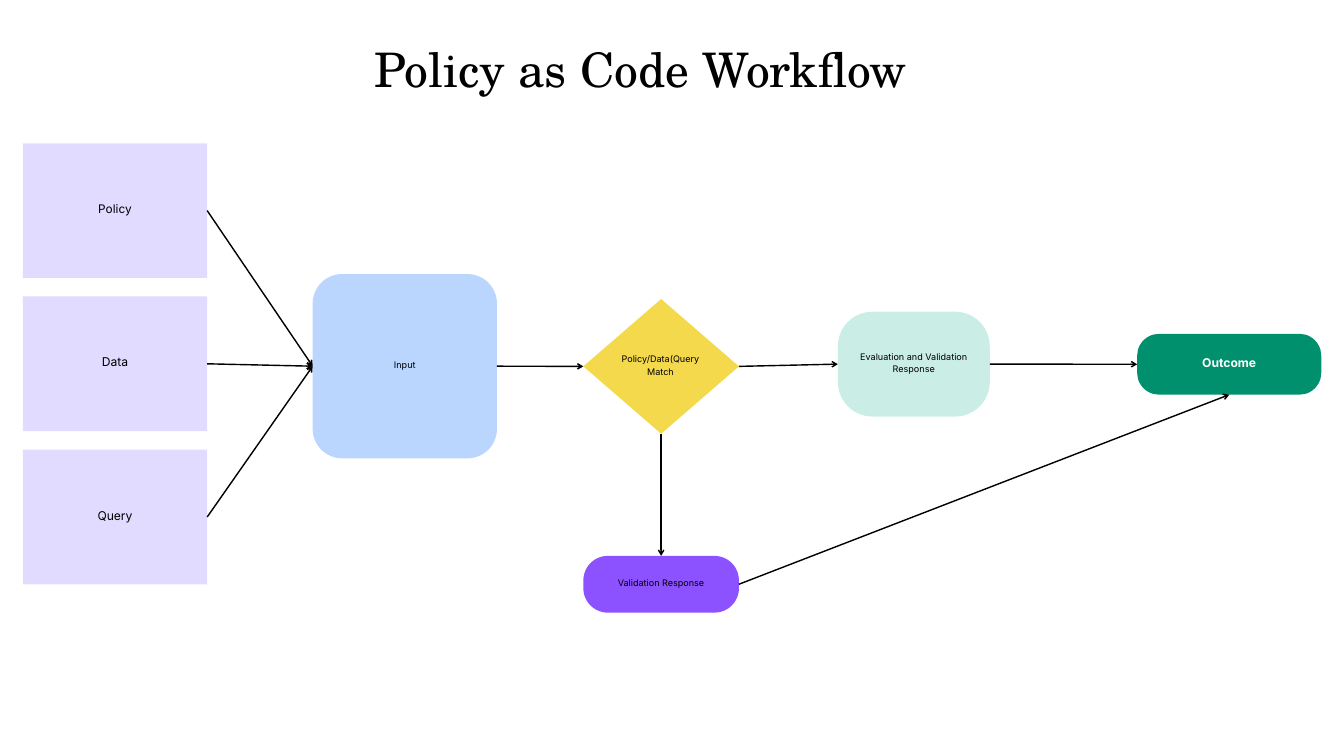
from lxml import etree
from pptx import Presentation
from pptx.dml.color import RGBColor
from pptx.enum.shapes import MSO_CONNECTOR, MSO_SHAPE
from pptx.enum.text import MSO_ANCHOR, PP_ALIGN
from pptx.oxml.ns import qn
from pptx.util import Pt

RECT, ROUNDED, DIAMOND = MSO_SHAPE.RECTANGLE, MSO_SHAPE.ROUNDED_RECTANGLE, MSO_SHAPE.DIAMOND
STRAIGHT = MSO_CONNECTOR.STRAIGHT
CENTER = PP_ALIGN.CENTER
MIDDLE, TOP_ANCHOR = MSO_ANCHOR.MIDDLE, MSO_ANCHOR.TOP
TOP, LEFT, BOTTOM, RIGHT = range(4)

COLORS = {
    "ink": "000001", "black": "000000", "white": "FFFFFF",
    "lavender": "E1DCFF", "blue": "BAD6FF", "yellow": "F4D94C",
    "mint": "CAEDE5", "green": "00906D", "purple": "8C52FF",
}


def rgb(name):
    return RGBColor.from_string(COLORS[name])


def write(frame, text, size, leading, color="ink", font="Inter", bold=False,
          anchor=MIDDLE, inset=1.5, lift=0):
    frame.word_wrap = True
    frame.vertical_anchor = anchor
    frame.margin_left = frame.margin_right = frame.margin_top = Pt(inset)
    frame.margin_bottom = Pt(inset + lift)
    paragraph = frame.paragraphs[0]
    paragraph.text = text
    paragraph.alignment = CENTER
    paragraph.line_spacing = Pt(leading)
    paragraph.font.name = font
    paragraph.font.size = Pt(size)
    paragraph.font.bold = bold
    paragraph.font.color.rgb = rgb(color)


prs = Presentation()
prs.slide_width, prs.slide_height = Pt(1440), Pt(810)
slide = prs.slides.add_slide(prs.slide_layouts[6])
shapes = slide.shapes

title = shapes.add_textbox(Pt(354), Pt(33), Pt(664.5), Pt(68.5))
write(title.text_frame, "Policy as Code Workflow", 51, 71.4, "black",
      "TeX Gyre Schola", anchor=TOP_ANCHOR, inset=0)

SOURCE_TOP, SOURCE_PITCH = 153.5, 164.15
steps = [
    (name, RECT, (24.5, SOURCE_TOP + row * SOURCE_PITCH, 197.5, 144.3),
     None, "lavender", size, "ink")
    for row, (name, size) in enumerate([("Policy", 12.7), ("Data", 13), ("Query", 13)])
]
steps += [
    ("Input", ROUNDED, (335, 293.6, 197.5, 197.5), 0.16, "blue", 9.7, "ink"),
    ("Policy/Data(Query Match", DIAMOND, (625, 320.4, 166.7, 144.3), None, "yellow", 9.7, "ink"),
    ("Evaluation and Validation Response", ROUNDED, (897.7, 334, 162.8, 112.3),
     0.33, "mint", 9.7, "ink"),
    ("Outcome", ROUNDED, (1218.4, 357.7, 197.3, 65.2), 0.36, "green", 13, "white"),
    ("Validation Response", ROUNDED, (625, 595.6, 166.7, 60.8), 0.43, "purple", 9.7, "ink"),
]

nodes = {}
for name, outline, box, corner, fill, size, color in steps:
    node = shapes.add_shape(outline, *map(Pt, box))
    node.shadow.inherit = False
    node.fill.solid()
    node.fill.fore_color.rgb = rgb(fill)
    node.line.fill.background()
    if corner:
        node.adjustments[0] = corner
    nodes[name] = node
    label, lift = node, size / 2
    if outline == DIAMOND:
        label, lift = shapes.add_textbox(Pt(653), Pt(340.6), Pt(109.4), Pt(99.4)), 0
    write(label.text_frame, name, size, round(size * 1.4, 1), color,
          bold=name == "Outcome", lift=lift)

MATCH, EVALUATION = "Policy/Data(Query Match", "Evaluation and Validation Response"
flows = [(source, RIGHT, "Input", LEFT) for source in ("Policy", "Data", "Query")]
flows += [
    ("Input", RIGHT, MATCH, LEFT),
    (MATCH, RIGHT, EVALUATION, LEFT),
    (EVALUATION, RIGHT, "Outcome", LEFT),
    (MATCH, BOTTOM, "Validation Response", TOP),
    ("Validation Response", RIGHT, "Outcome", BOTTOM),
]
for start, start_side, end, end_side in flows:
    arrow = shapes.add_connector(STRAIGHT, 0, 0, 0, 0)
    arrow.begin_connect(nodes[start], start_side)
    arrow.end_connect(nodes[end], end_side)
    arrow.line.color.rgb = rgb("black")
    arrow.line.width = Pt(1.5)
    etree.SubElement(arrow.line._get_or_add_ln(), qn("a:tailEnd"), type="arrow")
    etree.SubElement(arrow._element.spPr, qn("a:effectLst"))

prs.save("out.pptx")
